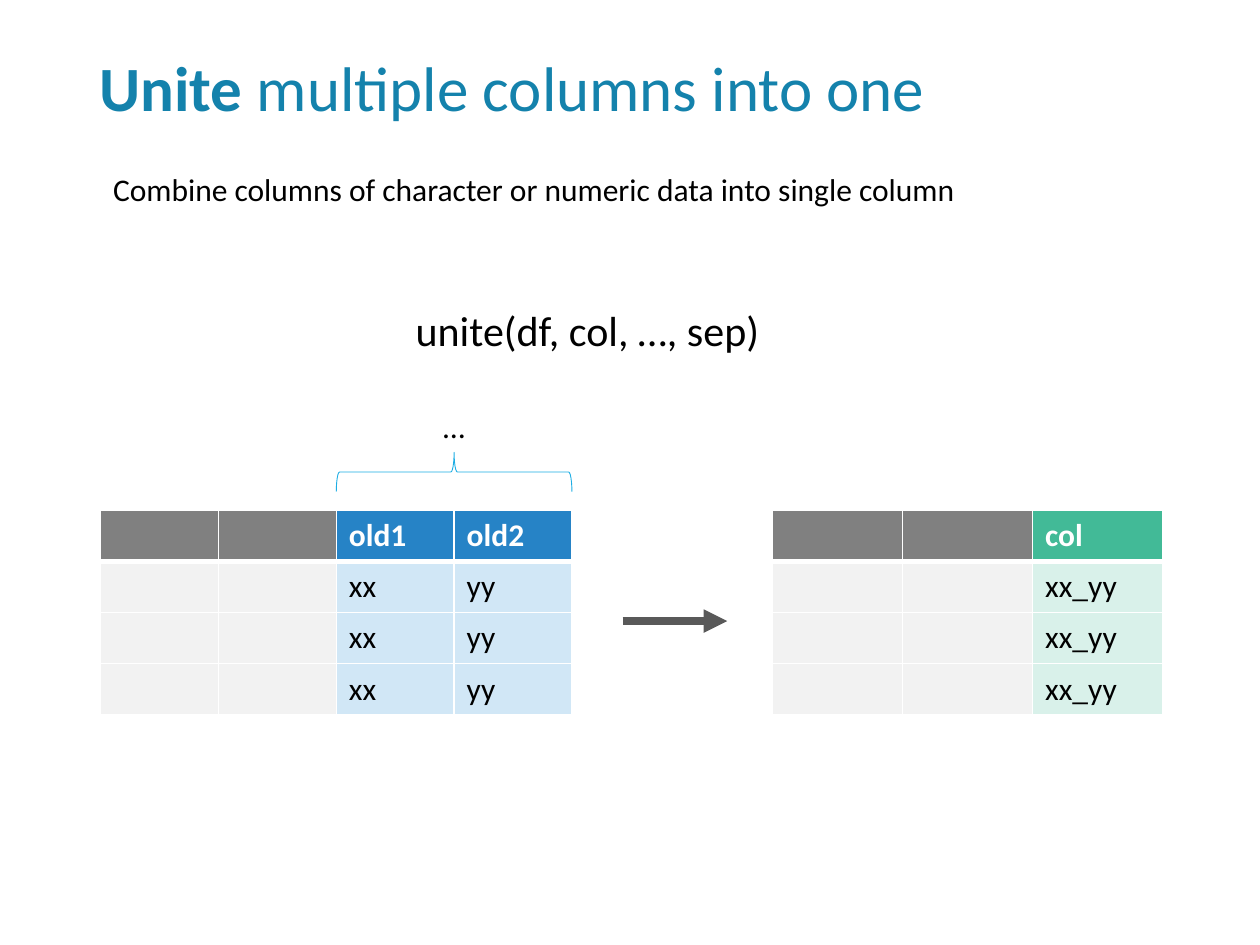
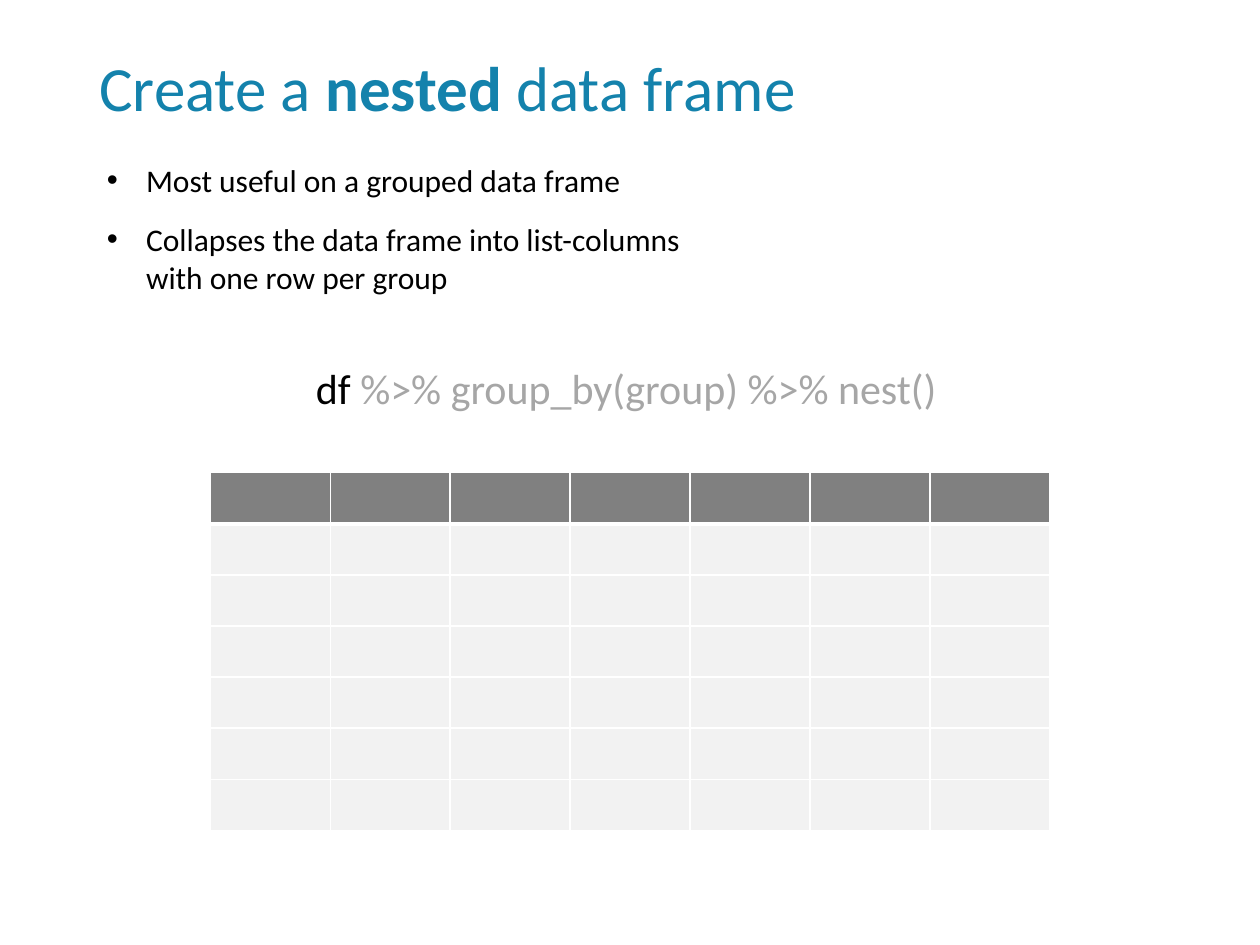
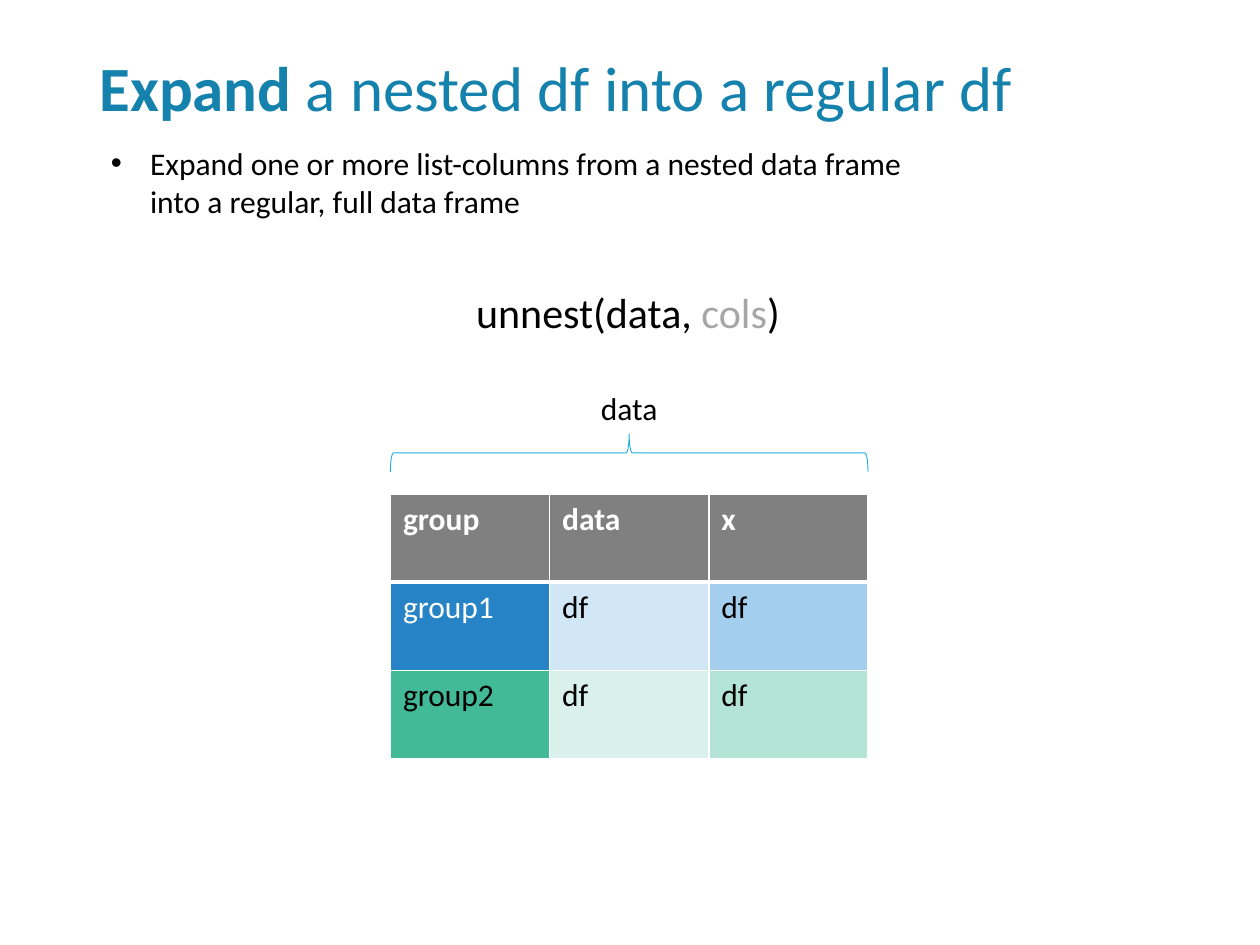
from lxml.etree import SubElement
from pptx import Presentation
from pptx.dml.color import RGBColor
from pptx.enum.shapes import MSO_CONNECTOR, MSO_SHAPE
from pptx.enum.text import MSO_ANCHOR, MSO_AUTO_SIZE, PP_ALIGN
from pptx.oxml.ns import qn
from pptx.util import Cm, Pt

# Shared style
FONT = "Calibri"
TITLE_BLUE, BRACE_BLUE = "1482AC", "1CADE4"
BLACK, WHITE, MUTED, ARROW_GRAY = "000000", "FFFFFF", "A6A6A6", "595959"
HEADER_GRAY, CELL_GRAY = "808080", "F2F2F2"
BLUE, BLUE_MID, BLUE_PALE = "2683C6", "A3CEED", "D1E7F6"
GREEN, GREEN_MID, GREEN_PALE = "42BA97", "B3E4D6", "D9F1EA"
TITLE_BOX = (1.75, 1.02, 21.9, 2.11)
BULLET_INDENT = 0.79
TITLE_AND_BODY, TITLE_ONLY = 1, 5


def color(hex_value):
    return RGBColor.from_string(hex_value)


def style_run(run, size, hex_value, bold=False):
    run.font.name = FONT
    run.font.size = Pt(size)
    run.font.bold = bold
    run.font.color.rgb = color(hex_value)


def place(shape, box):
    shape.left, shape.top, shape.width, shape.height = map(Cm, box)


def start_slide(presentation, layout, title_parts):
    """Add a slide whose title is made of (text, bold) parts."""
    slide = presentation.slides.add_slide(presentation.slide_layouts[layout])
    title = slide.shapes.title
    place(title, TITLE_BOX)
    frame = title.text_frame
    frame.auto_size = MSO_AUTO_SIZE.NONE
    frame.vertical_anchor = MSO_ANCHOR.TOP
    paragraph = frame.paragraphs[0]
    paragraph.alignment = PP_ALIGN.LEFT
    paragraph.line_spacing = 0.9
    for text, bold in title_parts:
        run = paragraph.add_run()
        run.text = text
        style_run(run, 36, TITLE_BLUE, bold)
    return slide


def fill_bullets(slide, box, items):
    body = slide.placeholders[1]
    place(body, box)
    frame = body.text_frame
    frame.text = "\n".join(items)
    frame.auto_size = MSO_AUTO_SIZE.NONE
    for paragraph in frame.paragraphs:
        paragraph.space_before = Pt(0)
        paragraph.space_after = Pt(12)
        properties = paragraph._p.get_or_add_pPr()
        properties.set("marL", str(Cm(BULLET_INDENT)))
        properties.set("indent", str(-Cm(BULLET_INDENT)))
        style_run(paragraph.runs[0], 18, BLACK)


def add_line_of_text(slide, box, parts, size, alignment=PP_ALIGN.LEFT):
    """Add one unwrapped line made of (text, colour) parts."""
    frame = slide.shapes.add_textbox(*map(Cm, box)).text_frame
    frame.word_wrap = False
    frame.auto_size = MSO_AUTO_SIZE.SHAPE_TO_FIT_TEXT
    paragraph = frame.paragraphs[0]
    paragraph.alignment = alignment
    for text, hex_value in parts:
        run = paragraph.add_run()
        run.text = text
        style_run(run, size, hex_value)


def add_labelled_brace(slide, box, label, label_width):
    """Add an upward brace that spans the box, with its label centred above."""
    left, top, width, height = box
    center_x, center_y = left + width / 2, top + height / 2
    # The brace is upright before it is turned, so its sides are swapped
    brace = slide.shapes.add_shape(
        MSO_SHAPE.RIGHT_BRACE, Cm(center_x - height / 2), Cm(center_y - width / 2),
        Cm(height), Cm(width))
    brace.rotation = 270
    brace.shadow.inherit = False
    brace.fill.background()
    brace.line.color.rgb = color(BRACE_BLUE)
    brace.line.width = Pt(0.5)
    label_box = (center_x - label_width / 2, top - 1.04, label_width, 1.02)
    add_line_of_text(slide, label_box, [(label, BLACK)], 18, PP_ALIGN.CENTER)


def add_arrow(slide, left, right, y):
    arrow = slide.shapes.add_connector(
        MSO_CONNECTOR.STRAIGHT, Cm(left), Cm(y), Cm(right), Cm(y))
    arrow.line.color.rgb = color(ARROW_GRAY)
    arrow.line.width = Pt(4.5)
    SubElement(arrow.line._get_or_add_ln(), qn("a:tailEnd"), type="triangle")
    SubElement(arrow._element.spPr, qn("a:effectLst"))


def set_borders(cell, row_index):
    """Draw white borders, thicker between the header and the first row."""
    top = 3 if row_index == 1 else 1
    bottom = 3 if row_index == 0 else 1
    properties = cell._tc.get_or_add_tcPr()
    for side, width in (("L", 1), ("R", 1), ("T", top), ("B", bottom)):
        border = SubElement(properties, qn(f"a:ln{side}"), w=str(Pt(width)))
        fill = SubElement(border, qn("a:solidFill"))
        SubElement(fill, qn("a:srgbClr"), val=WHITE)


def add_grid(slide, box, rows):
    """Add a table from rows of (text, fill) cells, spread evenly in the box."""
    table = slide.shapes.add_table(len(rows), len(rows[0]), *map(Cm, box)).table
    table.horz_banding = False
    for row_index, row in enumerate(rows):
        table.rows[row_index].height = Cm(box[3] / len(rows))
        for column_index, (text, fill) in enumerate(row):
            cell = table.cell(row_index, column_index)
            set_borders(cell, row_index)
            cell.fill.solid()
            cell.fill.fore_color.rgb = color(fill)
            if text:
                cell.text_frame.text = text
                is_header = row_index == 0
                text_color = WHITE if is_header or fill == BLUE else BLACK
                style_run(cell.text_frame.paragraphs[0].runs[0], 18, text_color, is_header)


def framed_rows(empty_columns, body_rows, headers=(), values=(), header_fill="", value_fill=""):
    """Return gray empty columns followed by coloured columns of repeated values."""
    header = [("", HEADER_GRAY)] * empty_columns + [(text, header_fill) for text in headers]
    body = [("", CELL_GRAY)] * empty_columns + [(text, value_fill) for text in values]
    return [header] + [body] * body_rows


def build_unite(presentation):
    slide = start_slide(presentation, TITLE_ONLY,
                        [("Unite ", True), ("multiple columns into one", False)])
    add_line_of_text(
        slide, (2.03, 3.3, 17.68, 1.02),
        [("Combine columns of character or numeric data into single column", BLACK)], 18)
    add_line_of_text(slide, (8.13, 6.02, 7.52, 1.27), [("unite(df, col, …, sep)", BLACK)], 24)
    # Columns before and after they are united
    left, top, width, height = old_box = (2.03, 10.29, 9.5, 4.12)
    add_grid(slide, old_box,
             framed_rows(2, 3, ["old1", "old2"], ["xx", "yy"], BLUE, BLUE_PALE))
    add_grid(slide, (15.57, top, 7.87, height),
             framed_rows(2, 3, ["col"], ["xx_yy"], GREEN, GREEN_PALE))
    add_labelled_brace(slide, (left + width / 2, top - 1.17, width / 2, 0.79), "…", 0.97)
    add_arrow(slide, 12.55, 14.66, 12.52)


def build_nest(presentation):
    slide = start_slide(presentation, TITLE_AND_BODY,
                        [("Create a ", False), ("nested", True), (" data frame", False)])
    fill_bullets(slide, (1.9, 3.12, 12.7, 3.02), [
        "Most useful on a grouped data frame",
        "Collapses the data frame into list-columns with one row per group"])
    add_line_of_text(slide, (6.12, 7.19, 13.13, 1.27),
                     [("df ", BLACK), ("%>% group_by(group) %>% nest()", MUTED)], 24)
    add_grid(slide, (4.24, 9.53, 16.93, 7.21), framed_rows(7, 6))


def build_unnest(presentation):
    slide = start_slide(presentation, TITLE_AND_BODY,
                        [("Expand", True), (" a nested df into a regular df", False)])
    fill_bullets(slide, (1.98, 2.77, 17.5, 1.8), [
        "Expand one or more list-columns from a nested data frame "
        "into a regular, full data frame"])
    add_line_of_text(slide, (9.35, 5.66, 6.68, 1.27),
                     [("unnest(data, ", BLACK), ("cols", MUTED), (")", BLACK)], 24)
    # Nested data frame under its brace
    left, top, width, height = nested_box = (7.87, 9.96, 9.63, 5.33)
    add_labelled_brace(slide, (left, top - 1.21, width, 0.76), "data", 1.68)
    add_grid(slide, nested_box, [
        [(text, HEADER_GRAY) for text in ("group", "data", "x")],
        [("group1", BLUE), ("df", BLUE_PALE), ("df", BLUE_MID)],
        [("group2", GREEN), ("df", GREEN_PALE), ("df", GREEN_MID)]])


def main():
    presentation = Presentation()
    presentation.slide_width, presentation.slide_height = Cm(25.4), Cm(19.05)
    for build in (build_unite, build_nest, build_unnest):
        build(presentation)
    presentation.save("out.pptx")


if __name__ == "__main__":
    main()
